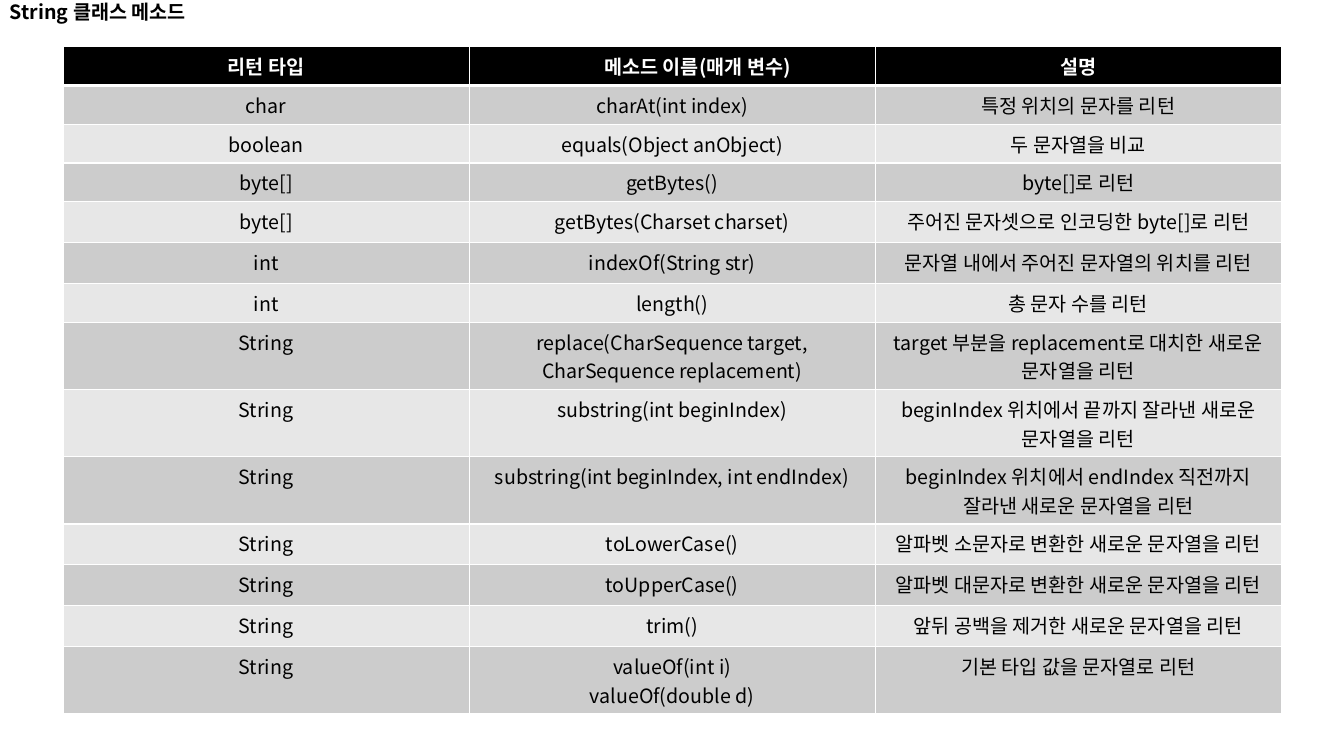
import pptx
import pptx.dml.color
import pptx.enum.text
import pptx.oxml.ns
import pptx.oxml.xmlchemy
import pptx.util
from lxml import etree

Pt = pptx.util.Pt
FONT = "Noto Sans CJK KR"
SHORT, TALL, DOUBLE = 27.7, 29.2, 48
HEAD = ("리턴 타입", "\t메소드 이름(매개 변수)", "설명")
ROWS = [
    (SHORT, "char", "charAt(int index)", "특정 위치의 문자를 리턴"),
    (SHORT, "boolean", "equals(Object anObject)", "두 문자열을 비교"),
    (SHORT, "byte[]", "getBytes()", "byte[]로 리턴"),
    (TALL, "byte[]", "getBytes(Charset charset)", "주어진 문자셋으로 인코딩한 byte[]로 리턴"),
    (TALL, "int", "indexOf(String str)", "문자열 내에서 주어진 문자열의 위치를 리턴"),
    (SHORT, "int", "length()", "총 문자 수를 리턴"),
    (DOUBLE, "String", "replace(CharSequence target, CharSequence replacement)",
     "target 부분을 replacement로 대치한 새로운 문자열을 리턴"),
    (DOUBLE, "String", "substring(int beginIndex)",
     "beginIndex 위치에서 끝까지 잘라낸 새로운 문자열을 리턴"),
    (DOUBLE, "String", "substring(int beginIndex, int endIndex)",
     "beginIndex 위치에서 endIndex 직전까지 잘라낸 새로운 문자열을 리턴"),
    (TALL, "String", "toLowerCase()", "알파벳 소문자로 변환한 새로운 문자열을 리턴"),
    (TALL, "String", "toUpperCase()", "알파벳 대문자로 변환한 새로운 문자열을 리턴"),
    (TALL, "String", "trim()", "앞뒤 공백을 제거한 새로운 문자열을 리턴"),
    (DOUBLE, "String", "valueOf(int i)\nvalueOf(double d)", "기본 타입 값을 문자열로 리턴"),
]


def color(code):
    return pptx.dml.color.RGBColor.from_string(code)


def style(para, code, bold):
    font = para.font
    font.name, font.size, font.bold = FONT, Pt(14), bold
    font.color.rgb = color(code)
    latin = para._p.pPr.find(".//" + pptx.oxml.ns.qn("a:latin"))
    east = etree.Element(pptx.oxml.ns.qn("a:ea"), typeface=FONT)
    latin.addnext(east)


def add_title(slide, text):
    box = slide.shapes.add_textbox(0, 0, Pt(300), Pt(26))
    frame = box.text_frame
    frame.word_wrap = True
    frame.margin_top = Pt(2)
    para = frame.paragraphs[0]
    para.text = text
    para.line_spacing = 0.9
    style(para, "000000", True)


def add_edge(cell, side, width):
    props = cell._tc.get_or_add_tcPr()
    line = etree.SubElement(props, pptx.oxml.ns.qn("a:" + side), w=str(Pt(width)))
    fill = etree.SubElement(line, pptx.oxml.ns.qn("a:solidFill"))
    etree.SubElement(fill, pptx.oxml.ns.qn("a:srgbClr"), val="FFFFFF")


def fill_cell(cell, text, back, ink, bold, top, bottom):
    cell.text = text
    for para in cell.text_frame.paragraphs:
        para.alignment = pptx.enum.text.PP_ALIGN.CENTER
        style(para, ink, bold)
    for side, width in (("lnL", 1), ("lnR", 1), ("lnT", top), ("lnB", bottom)):
        add_edge(cell, side, width)
    cell.fill.solid()
    cell.fill.fore_color.rgb = color(back)


def add_grid(slide):
    rows = [(SHORT, *HEAD)] + ROWS
    total = sum(row[0] for row in rows)
    frame = slide.shapes.add_table(len(rows), 3, Pt(45), Pt(33.4), Pt(870.3), Pt(total))
    table = frame.table
    for column in table.columns:
        column.width = Pt(290.1)
    for i, (height, *texts) in enumerate(rows):
        table.rows[i].height = Pt(height)
        head = i == 0
        back = "000000" if head else ("E7E7E7", "CCCCCC")[i % 2]
        ink = "FFFFFF" if head else "000000"
        top, bottom = 3 if i == 1 else 1, 3 if head else 1
        for j, text in enumerate(texts):
            fill_cell(table.cell(i, j), text, back, ink, head, top, bottom)


def main():
    deck = pptx.Presentation()
    deck.slide_width, deck.slide_height = Pt(960), Pt(540)
    slide = deck.slides.add_slide(deck.slide_layouts[6])
    add_title(slide, "String 클래스 메소드")
    add_grid(slide)
    deck.save("out.pptx")


if __name__ == "__main__":
    main()
